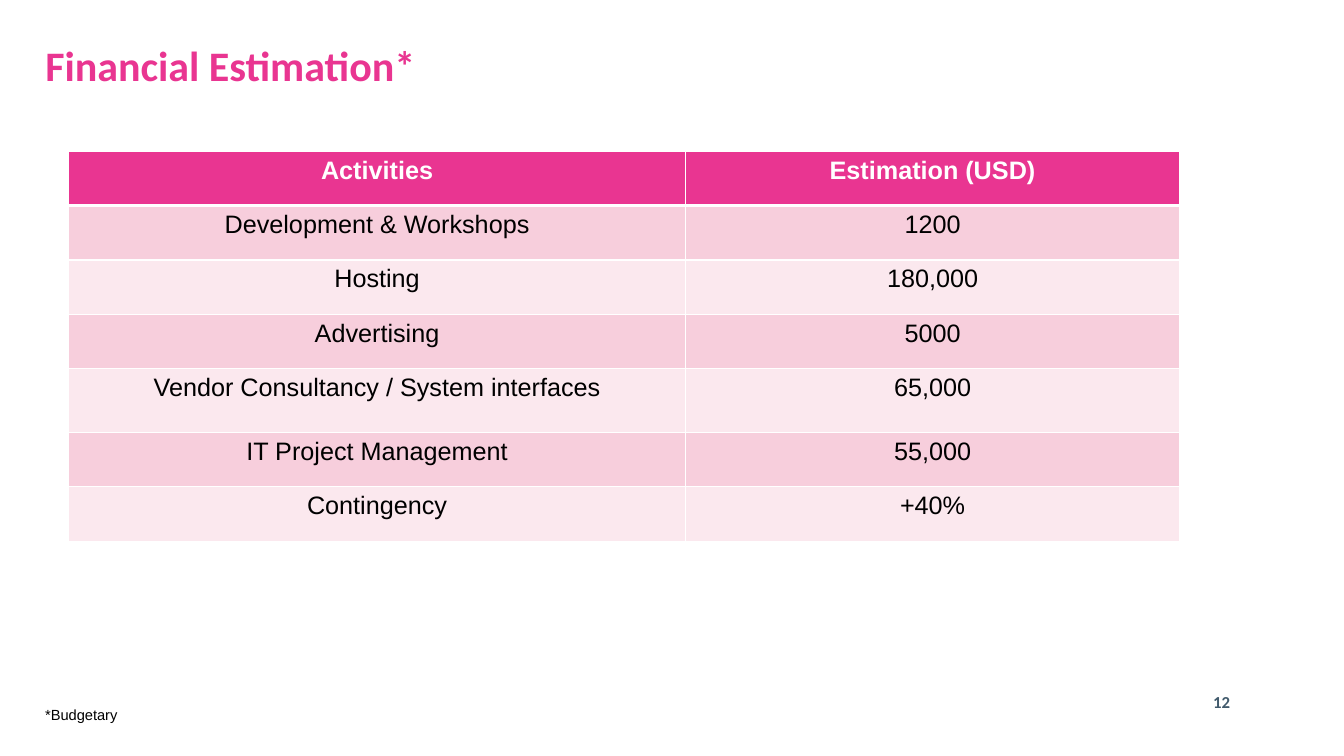
"""Build the financial estimation slide with its budget table."""
from dataclasses import dataclass

from lxml import etree
from pptx import Presentation
from pptx.dml.color import RGBColor
from pptx.enum.text import MSO_ANCHOR, PP_ALIGN
from pptx.oxml.ns import qn
from pptx.util import Inches, Pt

LEFT, CENTER = PP_ALIGN.LEFT, PP_ALIGN.CENTER
TOP, MIDDLE = MSO_ANCHOR.TOP, MSO_ANCHOR.MIDDLE
TITLE_ONLY = 5
SLIDE_WIDTH, SLIDE_HEIGHT = Inches(13.33), Inches(7.5)
COLORS = {
    "pink": "E93591",
    "rose": "F7CEDC",
    "blush": "FBE8EE",
    "slate": "415A6C",
    "white": "FFFFFF",
    "black": "000000",
}
COLUMN_WIDTHS = (6.12, 4.9)
ROW_HEIGHT, TALL_ROW_HEIGHT = 0.54, 0.63
TALL_ROW = 4
THIN, THICK = 1, 3


@dataclass(frozen=True)
class Area:
    """A rectangle given as shares of the slide's width and height."""
    left: float
    top: float
    width: float
    height: float

    def lengths(self) -> tuple[int, int, int, int]:
        """Return left, top, width and height in slide units."""
        return (int(self.left * SLIDE_WIDTH), int(self.top * SLIDE_HEIGHT),
                int(self.width * SLIDE_WIDTH), int(self.height * SLIDE_HEIGHT))


@dataclass(frozen=True)
class Estimate:
    """One row of the budget table."""
    activity: str
    amount: str


TITLE_AREA = Area(0.35 / 13.33, 0.4 / 7.5, 11.92 / 13.33, 0.63 / 7.5)
TABLE_AREA = Area(0.68 / 13.33, 1.5 / 7.5, 11.02 / 13.33, 3.84 / 7.5)
NOTE_AREA = Area(0.35 / 13.33, 6.95 / 7.5, 1.99 / 13.33, 0.29 / 7.5)
NUMBER_AREA = Area(11.89 / 13.33, 6.76 / 7.5, 0.45 / 13.33, 0.4 / 7.5)

ESTIMATES = (
    Estimate("Activities", "Estimation (USD)"),
    Estimate("Development & Workshops", "1200"),
    Estimate("Hosting", "180,000"),
    Estimate("Advertising", "5000"),
    Estimate("Vendor Consultancy / System interfaces", "65,000"),
    Estimate("IT Project Management", "55,000"),
    Estimate("Contingency", "+40%"),
)


def write(frame, text: str, *, size: float, font: str = "Arial", color: str = "black",
          bold: bool = False, align: PP_ALIGN = LEFT, spacing: float = 1.0) -> None:
    """Fill a text frame with one formatted paragraph."""
    para = frame.paragraphs[0]
    para.alignment = align
    para.line_spacing = spacing
    span = para.add_run()
    span.text = text
    span.font.name = font
    span.font.size = Pt(size)
    span.font.bold = bold
    span.font.color.rgb = RGBColor.from_string(COLORS[color])


def add_label(page, area: Area, text: str, *, anchor: MSO_ANCHOR = TOP, **style) -> None:
    """Add a wrapped text box."""
    frame = page.shapes.add_textbox(*area.lengths()).text_frame
    frame.word_wrap = True
    frame.vertical_anchor = anchor
    write(frame, text, **style)


def add_borders(cell, top: float, bottom: float) -> None:
    """Draw white lines on all four sides of a cell."""
    properties = cell._tc.get_or_add_tcPr()
    for side, points in (("L", THIN), ("R", THIN), ("T", top), ("B", bottom)):
        line = etree.SubElement(properties, qn(f"a:ln{side}"), w=str(Pt(points)))
        fill = etree.SubElement(line, qn("a:solidFill"))
        etree.SubElement(fill, qn("a:srgbClr"), val=COLORS["white"])


def add_title(page) -> None:
    """Place and format the title placeholder."""
    title = page.shapes.title
    title.left, title.top, title.width, title.height = TITLE_AREA.lengths()
    title.text_frame.vertical_anchor = TOP
    write(title.text_frame, "Financial Estimation*", size=30, font="Calibri",
          color="pink", bold=True, spacing=0.9)


def add_budget_table(page) -> None:
    """Add the table of activities and estimates."""
    table = page.shapes.add_table(len(ESTIMATES), len(COLUMN_WIDTHS),
                                  *TABLE_AREA.lengths()).table
    for column, width in zip(table.columns, COLUMN_WIDTHS):
        column.width = Inches(width)
    for index, estimate in enumerate(ESTIMATES):
        header = index == 0
        table.rows[index].height = Inches(
            TALL_ROW_HEIGHT if index == TALL_ROW else ROW_HEIGHT)
        fill = "pink" if header else ("blush", "rose")[index % 2]
        for column, text in enumerate((estimate.activity, estimate.amount)):
            cell = table.cell(index, column)
            add_borders(cell, THICK if index == 1 else THIN, THICK if header else THIN)
            cell.fill.solid()
            cell.fill.fore_color.rgb = RGBColor.from_string(COLORS[fill])
            write(cell.text_frame, text, size=18, bold=header, align=CENTER,
                  color="white" if header else "black")


def main() -> None:
    """Build and save the deck."""
    deck = Presentation()
    deck.slide_width, deck.slide_height = SLIDE_WIDTH, SLIDE_HEIGHT
    page = deck.slides.add_slide(deck.slide_layouts[TITLE_ONLY])
    add_title(page)
    add_budget_table(page)
    add_label(page, NOTE_AREA, "*Budgetary", size=10.5)
    add_label(page, NUMBER_AREA, "12", size=12, font="Calibri", color="slate",
              bold=True, align=CENTER, anchor=MIDDLE)
    deck.save("out.pptx")


if __name__ == "__main__":
    main()
